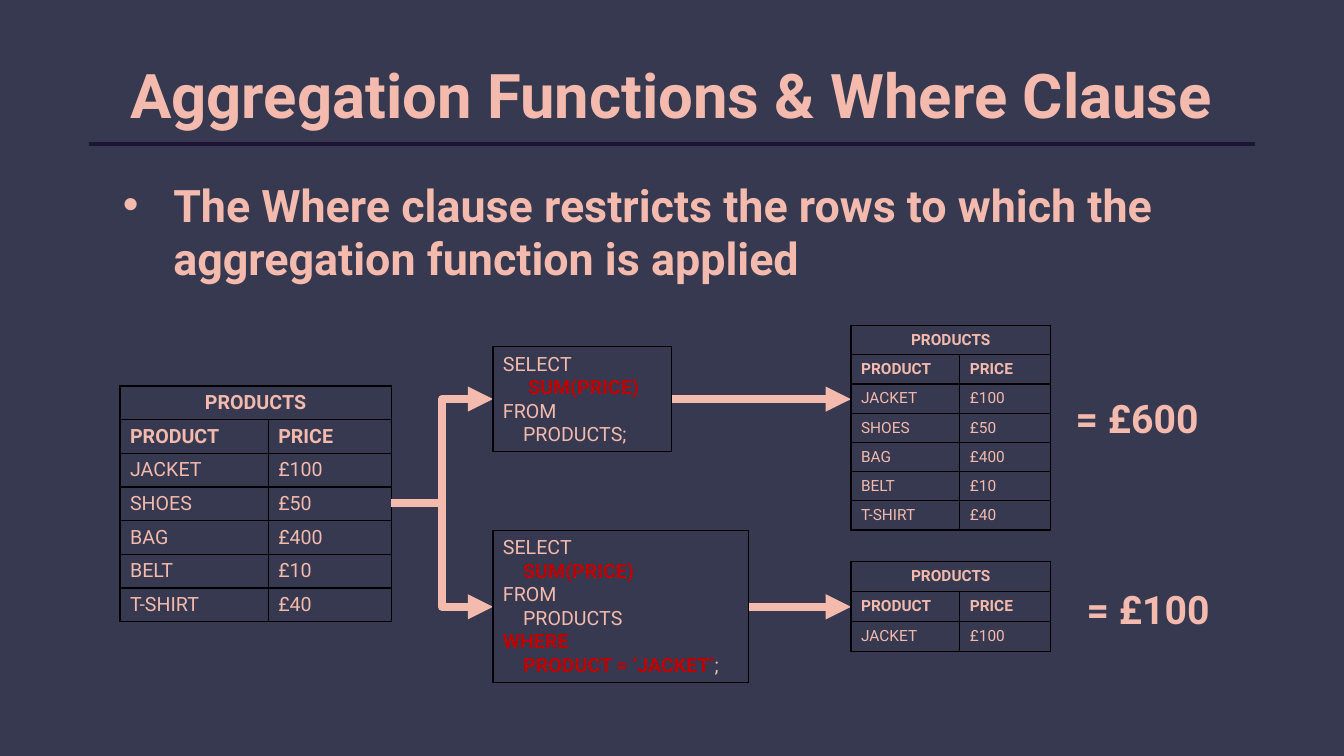
import pptx
import pptx.util
import pptx.dml.color
import pptx.enum.shapes
import pptx.enum.text
import pptx.oxml
import pptx.oxml.ns
from pptx.util import Inches

NAVY = pptx.dml.color.RGBColor(0x36, 0x39, 0x4F)
PINK = pptx.dml.color.RGBColor(0xF3, 0xBA, 0xAD)
PLUM = pptx.dml.color.RGBColor(0x1F, 0x14, 0x31)
RED = pptx.dml.color.RGBColor(0xC0, 0x00, 0x00)
BLACK = pptx.dml.color.RGBColor(0x00, 0x00, 0x00)
FONT = "Roboto"
CONNECTOR = pptx.enum.shapes.MSO_CONNECTOR
ALIGN = pptx.enum.text.PP_ALIGN
ANCHOR = pptx.enum.text.MSO_ANCHOR
AUTO_SIZE = pptx.enum.text.MSO_AUTO_SIZE


def add_xml(parent, tag, attributes="", content=""):
    """Append one DrawingML element to its parent."""
    namespace = pptx.oxml.ns.nsdecls("a")
    parent.append(pptx.oxml.parse_xml(
        f"<a:{tag} {namespace} {attributes}>{content}</a:{tag}>"))


class SlideBuilder:
    def __init__(self, presentation):
        self.slide = presentation.slides.add_slide(presentation.slide_layouts[5])
        self.slide.background.fill.solid()
        self.slide.background.fill.fore_color.rgb = NAVY

    def format_run(self, run, size, bold=False, color=PINK):
        run.font.name = FONT
        run.font.size = pptx.util.Pt(size)
        run.font.bold = bold
        run.font.color.rgb = color

    def title(self, text, left, top, width, height):
        shape = self.slide.shapes.title
        shape.left, shape.top = Inches(left), Inches(top)
        shape.width, shape.height = Inches(width), Inches(height)
        frame = shape.text_frame
        frame.text = text
        frame.auto_size = AUTO_SIZE.NONE
        frame.vertical_anchor = ANCHOR.TOP
        frame.paragraphs[0].alignment = ALIGN.LEFT
        self.format_run(frame.paragraphs[0].runs[0], 44, bold=True)

    def text(self, text, left, top, width, height, size, wrap=True, bullet=False):
        box = self.slide.shapes.add_textbox(
            Inches(left), Inches(top), Inches(width), Inches(height))
        frame = box.text_frame
        frame.word_wrap = wrap
        frame.text = text
        paragraph = frame.paragraphs[0]
        self.format_run(paragraph.runs[0], size, bold=True)
        if bullet:
            properties = paragraph._p.get_or_add_pPr()
            properties.set("marL", str(Inches(0.5)))
            properties.set("indent", str(-Inches(0.5)))
            add_xml(properties, "buFont", 'typeface="Arial"')
            add_xml(properties, "buChar", 'char="•"')

    def code(self, lines, left, top, width, height):
        """Each line is an indent in inches and (text, highlighted) pieces."""
        box = self.slide.shapes.add_shape(
            pptx.enum.shapes.MSO_SHAPE.RECTANGLE,
            Inches(left), Inches(top), Inches(width), Inches(height))
        box.shadow.inherit = False
        box.fill.background()
        box.line.color.rgb = BLACK
        box.line.width = pptx.util.Pt(0.75)
        frame = box.text_frame
        frame.word_wrap = True
        frame.vertical_anchor = ANCHOR.TOP
        for number, (indent, *pieces) in enumerate(lines):
            paragraph = frame.add_paragraph() if number else frame.paragraphs[0]
            paragraph.alignment = ALIGN.LEFT
            paragraph._p.get_or_add_pPr().set("marL", str(Inches(indent)))
            for text, highlighted in pieces:
                run = paragraph.add_run()
                run.text = text
                self.format_run(run, 14, highlighted, RED if highlighted else PINK)

    def line(self, start, end, color=PINK, width=6, kind=CONNECTOR.STRAIGHT, arrow=True):
        connector = self.slide.shapes.add_connector(
            kind, *(Inches(value) for value in start + end))
        connector.line.color.rgb = color
        connector.line.width = pptx.util.Pt(width)
        add_xml(connector._element.spPr, "effectLst")
        if arrow:
            add_xml(connector.line._get_or_add_ln(), "tailEnd", 'type="triangle"')

    def products_table(self, products, left, top, column_widths, height, size):
        rows = [("PRODUCTS", ""), ("PRODUCT", "PRICE"), *products]
        table = self.slide.shapes.add_table(
            len(rows), 2, Inches(left), Inches(top),
            Inches(sum(column_widths)), Inches(height)).table
        table.first_row = table.horz_banding = False
        for column, width in zip(table.columns, column_widths):
            column.width = Inches(width)
        for row_number, values in enumerate(rows):
            table.rows[row_number].height = Inches(height / len(rows))
            for column_number, value in enumerate(values):
                cell = table.cell(row_number, column_number)
                self.format_cell(cell)
                if value:
                    cell.text = value
                    self.format_run(cell.text_frame.paragraphs[0].runs[0],
                                    size, bold=row_number < 2)
        heading = table.cell(0, 0)
        heading.merge(table.cell(0, 1))
        heading.text_frame.paragraphs[0].alignment = ALIGN.CENTER

    def format_cell(self, cell):
        cell.vertical_anchor = ANCHOR.MIDDLE
        for side in ("lnL", "lnR", "lnT", "lnB"):
            add_xml(cell._tc.get_or_add_tcPr(), side, f'w="{pptx.util.Pt(1)}"',
                    f'<a:solidFill><a:srgbClr val="{BLACK}"/></a:solidFill>')
        cell.fill.background()


presentation = pptx.Presentation()
presentation.slide_width, presentation.slide_height = Inches(13.33), Inches(7.5)
builder = SlideBuilder(presentation)

# Heading and statement
builder.title("Aggregation Functions & Where Clause", 1.19, 0.51, 11.75, 0.77)
builder.line((0.88, 1.43), (12.45, 1.43), PLUM, 3, arrow=False)
builder.text("The Where clause restricts the rows to which the aggregation "
             "function is applied", 1.12, 1.71, 10.89, 1.38, 32, bullet=True)

# Source table
PRODUCTS = [("JACKET", "£100"), ("SHOES", "£50"), ("BAG", "£400"),
            ("BELT", "£10"), ("T-SHIRT", "£40")]
builder.products_table(PRODUCTS, 1.19, 3.83, (1.47, 1.22), 2.33, 14)

# Arrows from the source through each query to its result
QUERY_LEFT, RESULT_LEFT = 4.89, 8.44
for query_right, middle in ((6.66, 3.96), (7.42, 6.02)):
    builder.line((3.88, 4.99), (QUERY_LEFT, middle), kind=CONNECTOR.ELBOW)
    builder.line((query_right, middle), (RESULT_LEFT, middle))

# Queries
builder.code([(0, ("SELECT", False)), (0.25, ("SUM(PRICE)", True)),
              (0, ("FROM", False)), (0.2, ("PRODUCTS;", False))],
             QUERY_LEFT, 3.44, 1.77, 1.04)
builder.code([(0, ("SELECT", False)), (0.2, ("SUM(PRICE)", True)),
              (0, ("FROM", False)), (0.2, ("PRODUCTS", False)),
              (0, ("WHERE", True)),
              (0.2, ("PRODUCT = ‘JACKET’", True), (";", False))],
             QUERY_LEFT, 5.26, 2.53, 1.51)

# Filtered rows and their sums
RESULT_COLUMNS = (1.08, 0.9)
builder.products_table(PRODUCTS, RESULT_LEFT, 3.23, RESULT_COLUMNS, 2.03, 11)
builder.products_table(PRODUCTS[:1], RESULT_LEFT, 5.57, RESULT_COLUMNS, 0.89, 11)
builder.text("= £600", 10.57, 3.86, 1.51, 0.57, 28, wrap=False)
builder.text("= £100", 10.68, 5.76, 1.51, 0.57, 28, wrap=False)

presentation.save("out.pptx")
